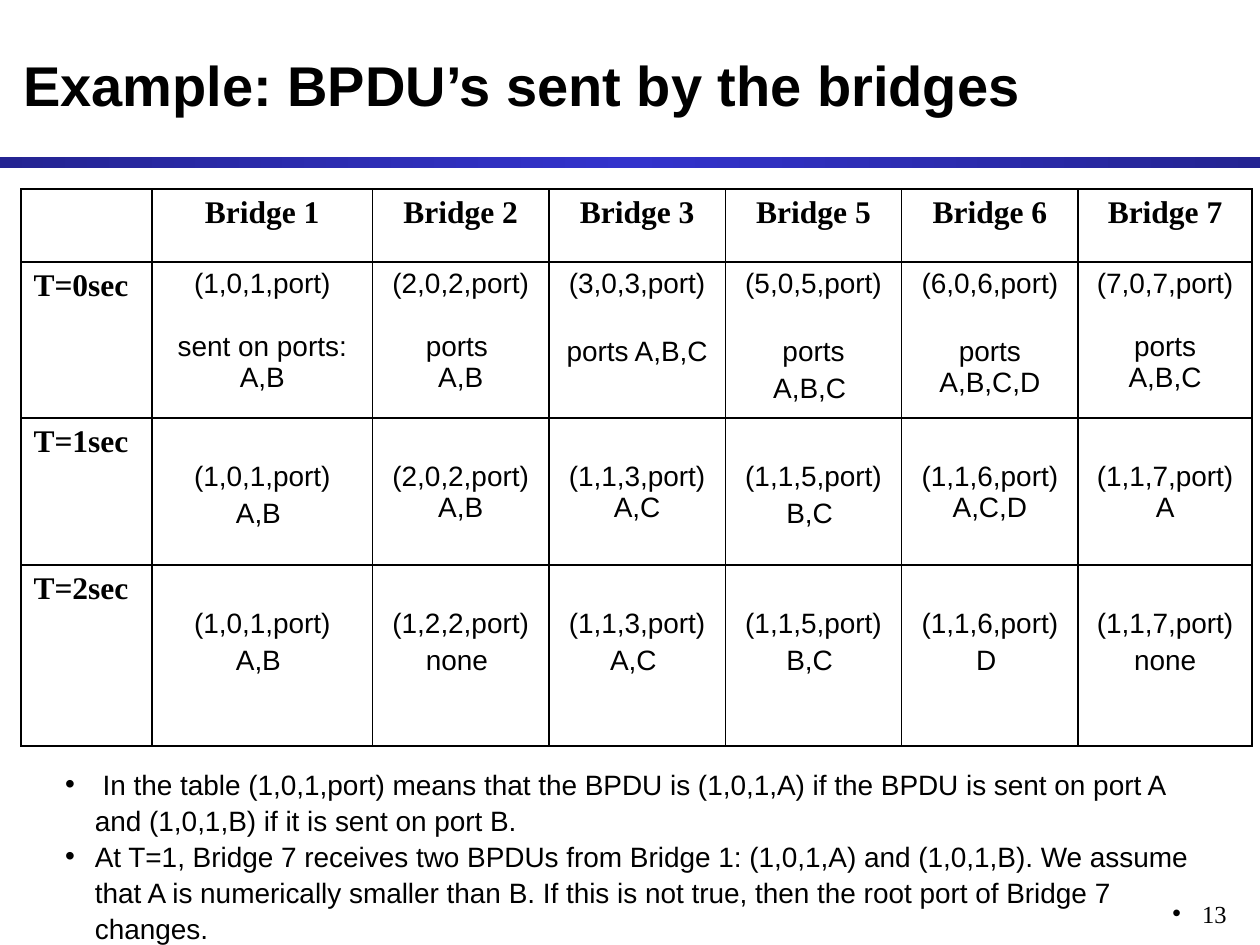
from copy import deepcopy

from lxml.etree import SubElement
from pptx import Presentation
from pptx.dml.color import RGBColor
from pptx.enum.shapes import MSO_SHAPE as Shape
from pptx.enum.text import MSO_ANCHOR as Anchor, MSO_AUTO_SIZE as AutoSize, PP_ALIGN as Align
from pptx.oxml.ns import qn
from pptx.util import Pt

BLACK = "000000"
SANS, SERIF = "Arial", "Times New Roman"
LINE, STEP = 17.9, 3.2  # height of a 16 pt line, space between paragraphs


def color(value):
    """Turn a hex string into a colour."""
    return RGBColor.from_string(value)


def write(frame, text, size=16, font=SERIF, bold=False, align=Align.LEFT,
          before=0, spacing=None, bullet=False):
    """Write text as the next paragraph of a frame."""
    paragraph = frame.paragraphs[0]
    if paragraph.runs:
        paragraph = frame.add_paragraph()
    paragraph.alignment = align
    paragraph.space_before = Pt(before)
    if spacing:
        paragraph.line_spacing = spacing
    run = paragraph.add_run()
    run.text = text
    run.font.size, run.font.name, run.font.bold = Pt(size), font, bold
    run.font.color.rgb = color(BLACK)
    if bullet:
        properties = paragraph._p.get_or_add_pPr()
        properties.set("marL", str(Pt(17)))
        properties.set("indent", str(-Pt(17)))
        SubElement(properties, qn("a:buFont"), typeface=SANS)
        SubElement(properties, qn("a:buChar"), char="•")


def add_borders(cell, width=1):
    """Draw a black line on each side of a cell."""
    properties = cell._tc.get_or_add_tcPr()
    for side in ("lnL", "lnR", "lnT", "lnB"):
        line = SubElement(properties, qn("a:" + side), w=str(Pt(width)))
        fill = SubElement(line, qn("a:solidFill"))
        SubElement(fill, qn("a:srgbClr"), val=BLACK)


class SlideBuilder:
    """Holds the current slide and adds elements in its style."""

    def __init__(self, presentation):
        """Start a slide with a title and a body."""
        self.slide = presentation.slides.add_slide(presentation.slide_layouts[1])

    def place(self, index, left, top, width, height):
        """Move a placeholder and return its text frame."""
        shape = self.slide.placeholders[index]
        shape.left, shape.top = Pt(left), Pt(top)
        shape.width, shape.height = Pt(width), Pt(height)
        frame = shape.text_frame
        frame.auto_size = AutoSize.NONE
        frame.vertical_anchor = Anchor.MIDDLE
        return frame

    def title(self, text, *box):
        """Fill the title placeholder."""
        write(self.place(0, *box), text, size=32, font=SANS, bold=True)

    def bullets(self, items, *box):
        """Fill the body placeholder with a bulleted list."""
        frame = self.place(1, *box)
        for item in items:
            write(frame, item, font=SANS, spacing=1.07, bullet=True)

    def bar(self, edge, middle, *box):
        """Add a bar shaded from its edges to its middle."""
        shape = self.slide.shapes.add_shape(Shape.RECTANGLE, *map(Pt, box))
        shape.shadow.inherit = False
        shape.line.fill.background()
        shape.fill.gradient()
        shape.fill.gradient_angle = 0
        first = shape._element.spPr.find(".//" + qn("a:gs"))
        first.addnext(deepcopy(first))
        stops = zip(shape.fill.gradient_stops, (0, 0.5, 1), (edge, middle, edge))
        for stop, position, value in stops:
            stop.position = position
            stop.color.rgb = color(value)

    def number(self, text, *box):
        """Add the slide number."""
        frame = self.slide.shapes.add_textbox(*map(Pt, box)).text_frame
        frame.word_wrap = True
        write(frame, text, size=14, align=Align.RIGHT, bullet=True)

    def table(self, left, top, widths, heights, header, rows):
        """Add a ruled table with bold headings and multi-line cells."""
        table = self.slide.shapes.add_table(
            len(heights), len(widths), Pt(left), Pt(top),
            Pt(sum(widths)), Pt(sum(heights))).table
        table.first_row = table.horz_banding = False
        for column, width in zip(table.columns, widths):
            column.width = Pt(width)
        for row, height in zip(table.rows, heights):
            row.height = Pt(height)
        for cell in table.iter_cells():
            add_borders(cell)
            cell.fill.background()
        for column, text in enumerate(header, 1):
            write(table.cell(0, column).text_frame, text, size=18, bold=True,
                  align=Align.CENTER)
        for index, (label, offset, entries) in enumerate(rows, 1):
            write(table.cell(index, 0).text_frame, label, size=18, bold=True)
            for column, lines in enumerate(entries, 1):
                cell = table.cell(index, column)
                cell.margin_top = Pt(3.6 + offset)
                for text, before in lines:
                    write(cell.text_frame, text, font=SANS, align=Align.CENTER,
                          before=before)


def message(root, cost, bridge, *lines):
    """Return the lines of a cell, led by the message of a bridge."""
    return [(f"({root},{cost},{bridge},port)", 0), *lines]


presentation = Presentation()
presentation.slide_width, presentation.slide_height = Pt(720), Pt(540)
builder = SlideBuilder(presentation)
builder.bar("242492", "3333CC", 0, 90, 720, 6)
builder.number("13", 558, 510, 150, 18)
builder.title("Example: BPDU’s sent by the bridges", 6, 12, 708, 72)

FAR = LINE + STEP
start = [
    message(1, 0, 1, ("sent on ports: A,B", LINE)),
    message(2, 0, 2, ("ports ", LINE), ("A,B", 0)),
    message(3, 0, 3, ("ports A,B,C", FAR)),
    message(5, 0, 5, ("ports", FAR), ("A,B,C ", STEP)),
    message(6, 0, 6, ("ports", FAR), ("A,B,C,D", 0)),
    message(7, 0, 7, ("ports", LINE), ("A,B,C", 0)),
]
after_one = [
    message(1, 0, 1, ("A,B ", STEP)),
    message(2, 0, 2, ("A,B", 0)),
    message(1, 1, 3, ("A,C", 0)),
    message(1, 1, 5, ("B,C ", STEP)),
    message(1, 1, 6, ("A,C,D", 0)),
    message(1, 1, 7, ("A", 0)),
]
after_two = [
    message(1, 0, 1, ("A,B ", STEP)),
    message(1, 2, 2, ("none ", STEP)),
    message(1, 1, 3, ("A,C ", STEP)),
    message(1, 1, 5, ("B,C ", STEP)),
    message(1, 1, 6, ("D ", STEP)),
    message(1, 1, 7, ("none", STEP)),
]
builder.table(
    12, 108, [74.9, 126, *[100.8] * 4, 99.4], [41.8, 84.5, 84, 103.3],
    [f"Bridge {bridge}" for bridge in (1, 2, 3, 5, 6, 7)],
    [("T=0sec", 0, start), ("T=1sec", FAR, after_one), ("T=2sec", FAR, after_two)])

builder.bullets([
    " In the table (1,0,1,port) means that the BPDU is (1,0,1,A) if the BPDU is "
    "sent on port A and (1,0,1,B) if it is sent on port B.",
    "At T=1, Bridge 7 receives two BPDUs from Bridge 1: (1,0,1,A) and (1,0,1,B). "
    "We assume that A is numerically smaller than B. If this is not true, then "
    "the root port of Bridge 7 changes.",
], 30, 456, 664, 65)
presentation.save("out.pptx")
